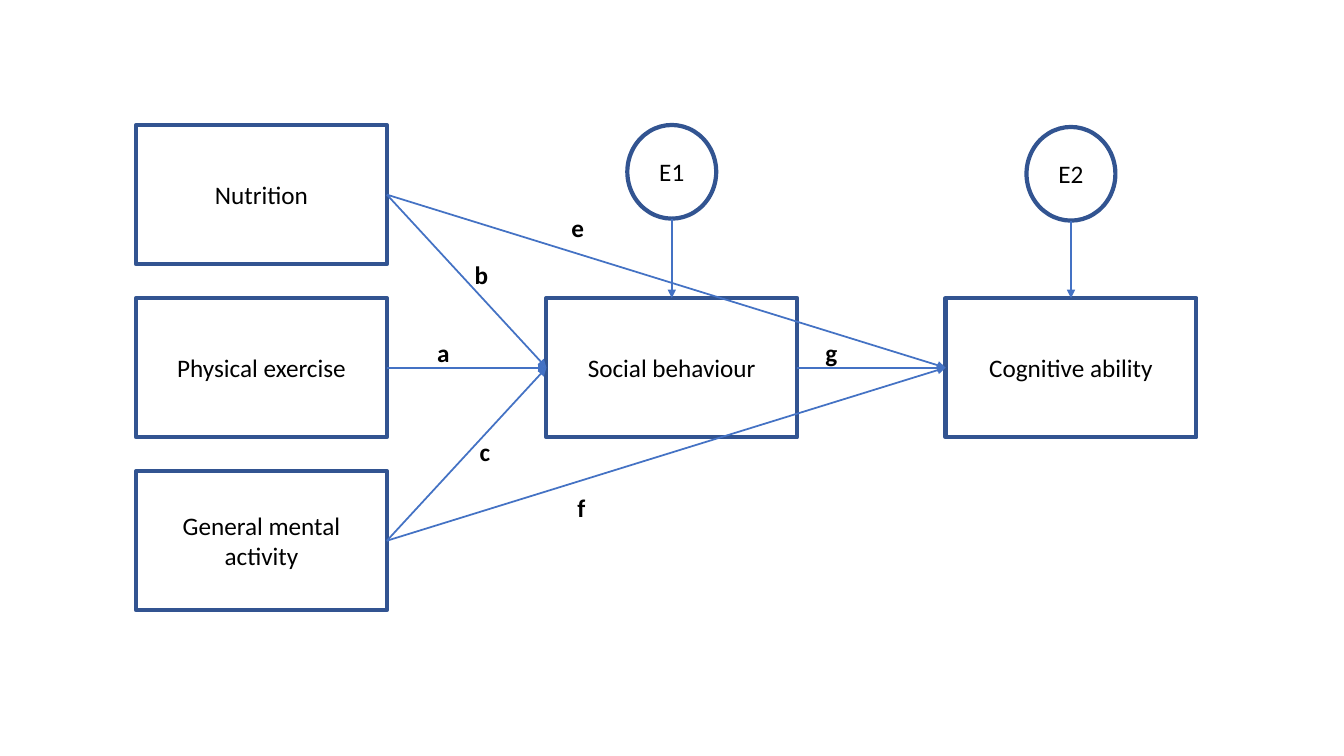
"""Build a path diagram of what shapes cognitive ability."""
from lxml import etree
from pptx import Presentation
from pptx.dml.color import RGBColor
from pptx.enum.shapes import MSO_CONNECTOR, MSO_SHAPE
from pptx.enum.text import MSO_ANCHOR, MSO_AUTO_SIZE, PP_ALIGN
from pptx.oxml.ns import qn
from pptx.util import Cm, Pt

RECT, OVAL = MSO_SHAPE.RECTANGLE, MSO_SHAPE.OVAL
LINE = MSO_CONNECTOR.STRAIGHT
MIDDLE, CENTER = MSO_ANCHOR.MIDDLE, PP_ALIGN.CENTER
GROW = MSO_AUTO_SIZE.SHAPE_TO_FIT_TEXT
TOP, LEFT, RIGHT = 0, 1, 3

NAVY, BLUE, BLACK = "325491", "4472C4", "000000"
COLS = (3.43, 13.77, 23.83)
FIRST, PITCH = 3.15, 4.36
BOX_W, BOX_H = 6.32, 3.51
OVAL_W, OVAL_H = 2.24, 2.36
TAG_W, TAG_H = 0.97, 1.03

BOXES = [
    ("Nutrition", 0, 0),
    ("Physical exercise", 0, 1),
    ("General mental activity", 0, 2),
    ("Social behaviour", 1, 1),
    ("Cognitive ability", 2, 1),
]
PATHS = [
    ("Nutrition", "Social behaviour"),
    ("Physical exercise", "Social behaviour"),
    ("General mental activity", "Social behaviour"),
    ("Social behaviour", "Cognitive ability"),
    ("Nutrition", "Cognitive ability"),
    ("General mental activity", "Cognitive ability"),
]
TAGS = [
    ("a", 10.77, 8.38),
    ("b", 11.71, 6.4),
    ("c", 11.84, 10.87),
    ("e", 14.15, 5.23),
    ("f", 14.3, 12.27),
    ("g", 20.55, 8.38),
]
ERRORS = [("E1", "Social behaviour", 3.15), ("E2", "Cognitive ability", 3.2)]


def color(code):
    return RGBColor.from_string(code)


def write(shape, text, bold=False):
    para = shape.text_frame.paragraphs[0]
    para.text = text
    font = para.runs[0].font
    font.name, font.size, font.bold = "Calibri", Pt(18), bold
    font.color.rgb = color(BLACK)
    return para


def add_node(slide, kind, text, x, y, w, h):
    node = slide.shapes.add_shape(kind, x, y, w, h)
    node.shadow.inherit = False
    node.fill.background()
    node.line.color.rgb = color(NAVY)
    node.line.width = Pt(3)
    node.text_frame.word_wrap = True
    node.text_frame.vertical_anchor = MIDDLE
    write(node, text).alignment = CENTER
    return node


def add_arrow(slide, x, y, end, side):
    arrow = slide.shapes.add_connector(LINE, x, y, x, y)
    arrow.end_connect(end, side)
    arrow.line.color.rgb = color(BLUE)
    arrow.line.width = Pt(1.25)
    props = arrow._element.spPr
    etree.SubElement(props.find(qn("a:ln")), qn("a:tailEnd"), type="triangle")
    etree.SubElement(props, qn("a:effectLst"))
    return arrow


def add_tag(slide, text, x, y):
    tag = slide.shapes.add_textbox(Cm(x), Cm(y), Cm(TAG_W), Cm(TAG_H))
    tag.text_frame.word_wrap = True
    tag.text_frame.auto_size = GROW
    write(tag, text, bold=True)


def main():
    deck = Presentation()
    deck.slide_width, deck.slide_height = Cm(33.87), Cm(19.05)
    slide = deck.slides.add_slide(deck.slide_layouts[6])

    nodes = {}
    for text, col, row in BOXES:
        nodes[text] = add_node(slide, RECT, text, Cm(COLS[col]),
                               Cm(FIRST + row * PITCH), Cm(BOX_W), Cm(BOX_H))

    for start, end in PATHS:
        arrow = add_arrow(slide, 0, 0, nodes[end], LEFT)
        arrow.begin_connect(nodes[start], RIGHT)

    for tag in TAGS:
        add_tag(slide, *tag)

    for text, end, top in ERRORS:
        box = nodes[end]
        mid = box.left + box.width // 2
        oval = add_node(slide, OVAL, text, mid - Cm(OVAL_W) // 2, Cm(top),
                        Cm(OVAL_W), Cm(OVAL_H))
        add_arrow(slide, mid, oval.top + oval.height, box, TOP)

    deck.save("out.pptx")


if __name__ == "__main__":
    main()
